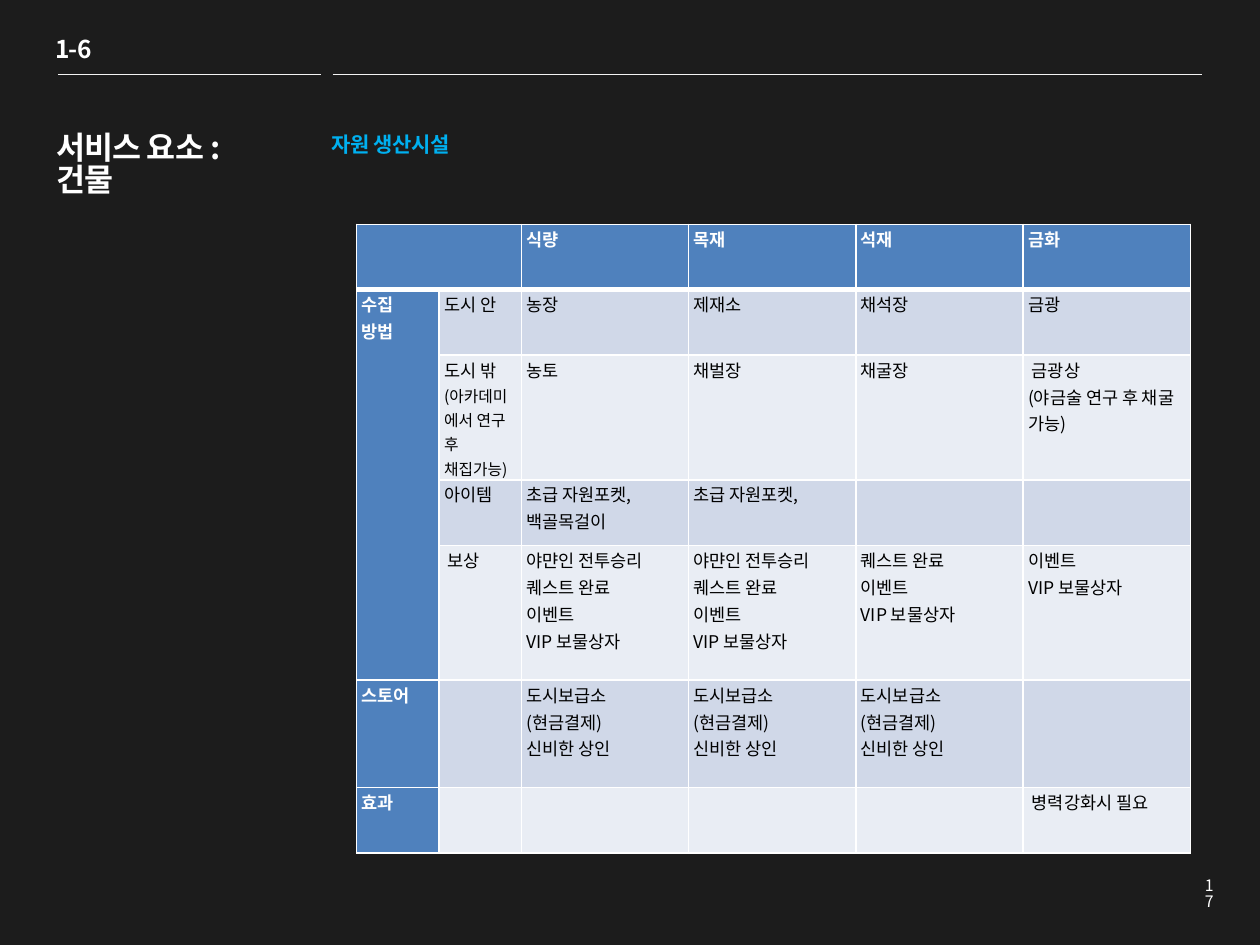
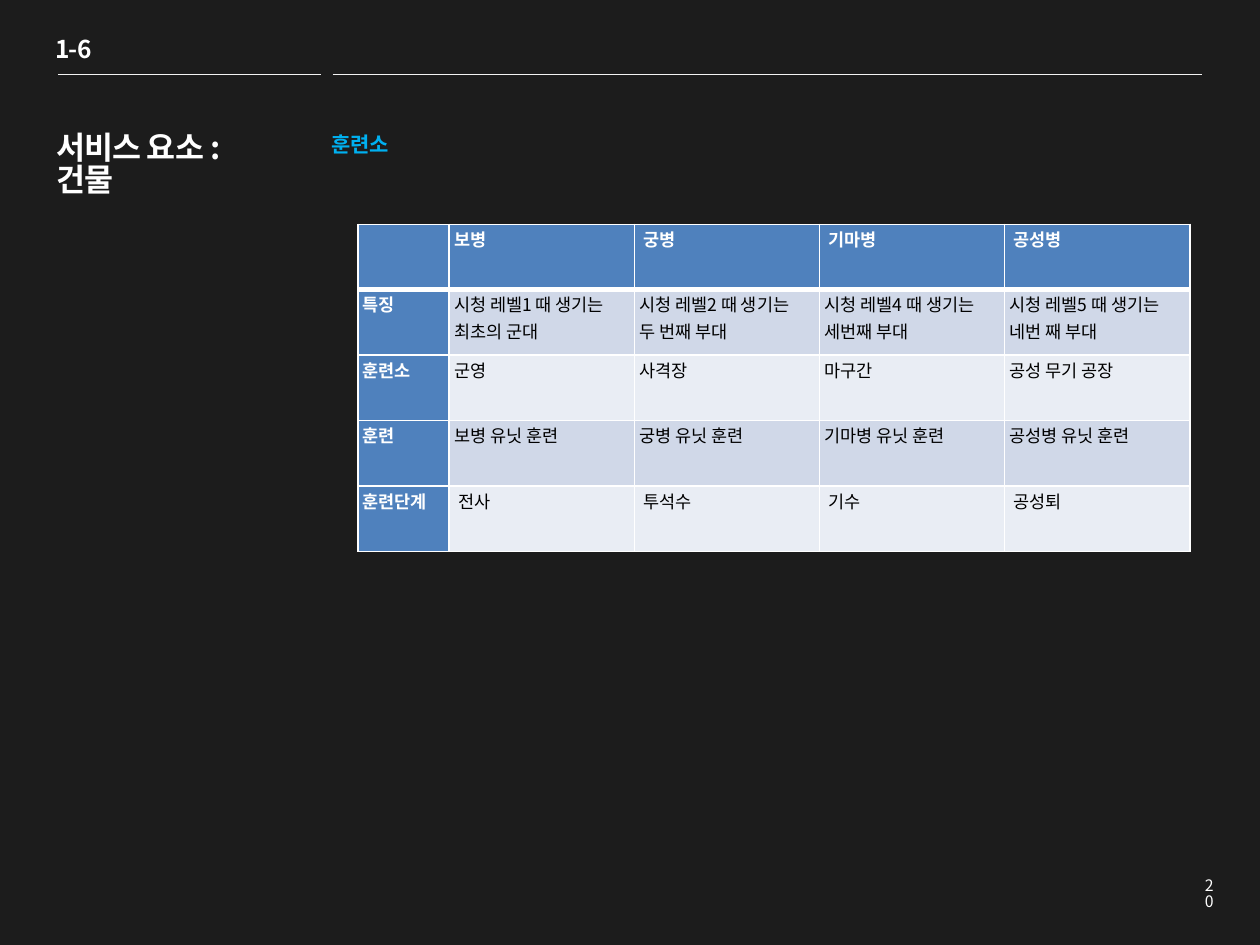
from lxml.etree import SubElement as Sub
from pptx import Presentation
from pptx.dml.color import RGBColor
from pptx.enum.shapes import MSO_CONNECTOR as Link
from pptx.enum.text import MSO_ANCHOR as Anchor, PP_ALIGN as Align
from pptx.oxml.ns import qn
from pptx.util import Inches, Pt

FACE = "Noto Sans CJK KR"
DARK, WHITE, BLACK = "1C1C1C", "FFFFFF", "000000"
RULE, SKY, BLUE = "F2F2F2", "00B0F0", "4F81BD"
BANDS = "D0D8E8", "E9EDF4"
COLS, ROWS = 100, 75


def tint(code):
    return RGBColor.from_string(code)


class Deck:
    def __init__(self):
        self.file = Presentation()
        self.file.slide_width, self.file.slide_height = Inches(10), Inches(7.5)
        self.slide = None

    def x(self, cols):
        return round(self.file.slide_width * cols / COLS)

    def y(self, rows):
        return round(self.file.slide_height * rows / ROWS)

    def box(self, left, top, width, height):
        return self.x(left), self.y(top), self.x(width), self.y(height)

    def page(self, topic, number):
        self.slide = self.file.slides.add_slide(self.file.slide_layouts[6])
        fill = self.slide.background.fill
        fill.solid()
        fill.fore_color.rgb = tint(DARK)
        self.text("1-6", (3.4, 2.6, 4.9, 3.4), 14, track=-50, wrap=False)
        self.line(4.6, 25.5, 5.9)
        self.line(26.4, 95.4, 5.9)
        self.text(topic, (25.3, 10.3, 53.2, 3), 12, SKY, track=-20)
        self.text(number, (94.5, 69.3, 2.8, 2.5), 9, bold=False, align=Align.RIGHT)
        self.text("서비스 요소 :\n건물", (3.5, 10.2, 18.1, 16.1), 18, track=-50)

    def style(self, para, size, color, bold, space, track=0, align=None):
        para.line_spacing = space
        if align is not None:
            para.alignment = align
        font = para.font
        font.size, font.bold = Pt(size), bold
        font.color.rgb = tint(color)
        font.name = FACE
        props = para._p.get_or_add_pPr().find(qn("a:defRPr"))
        Sub(props, qn("a:ea"), typeface=FACE)
        if track:
            props.set("spc", str(track))

    def text(self, words, area, size, color=WHITE, bold=True, track=0,
             wrap=True, align=None):
        frame = self.slide.shapes.add_textbox(*self.box(*area)).text_frame
        frame.word_wrap = wrap
        frame.text = words
        for para in frame.paragraphs:
            self.style(para, size, color, bold, 0.83, track, align)

    def line(self, start, end, row):
        rule = self.slide.shapes.add_connector(
            Link.STRAIGHT, self.x(start), self.y(row), self.x(end), self.y(row))
        rule.line.color.rgb = tint(RULE)
        rule.line.width = Pt(0.25)
        Sub(rule._element.spPr, qn("a:effectLst"))

    def edges(self, cell, row):
        props = cell._tc.get_or_add_tcPr()
        thick = {(0, "B"), (1, "T")}
        for side in "LRTB":
            width = Pt(3 if (row, side) in thick else 1)
            edge = Sub(props, qn(f"a:ln{side}"), w=str(width))
            Sub(Sub(edge, qn("a:solidFill")), qn("a:srgbClr"), val=WHITE)

    def cell(self, cell, words, row, col, align, small):
        head = row == 0 or col == 0
        self.edges(cell, row)
        cell.fill.solid()
        cell.fill.fore_color.rgb = tint(BLUE if head else BANDS[(row - 1) % 2])
        cell.margin_left = cell.margin_right = Inches(0.04)
        cell.margin_top = cell.margin_bottom = 0
        cell.vertical_anchor = Anchor.TOP
        cell.text = words
        for para in cell.text_frame.paragraphs:
            size = 9 if para.text in small else 10
            self.style(para, size, WHITE if head else BLACK, head, 1.07, align=align)

    def table(self, left, top, widths, heights, data, spans=(), align=None, small=()):
        area = self.box(left, top, sum(widths), sum(heights))
        grid = self.slide.shapes.add_table(len(heights), len(widths), *area).table
        for col, width in zip(grid.columns, widths):
            col.width = self.x(width)
        for row, height in zip(grid.rows, heights):
            row.height = self.y(height)
        for r, line in enumerate(data):
            for c, words in enumerate(line):
                self.cell(grid.cell(r, c), words, r, c, align, small)
        for first, last in spans:
            grid.cell(*first).merge(grid.cell(*last))


def main():
    deck = Deck()

    deck.page("자원 생산시설", "17")
    note = "(아카데미에서 연구 후 채집가능)"
    fight = "야먄인 전투승리\n"
    quest = "퀘스트 완료\n"
    event = "이벤트\nVIP 보물상자"
    store = "도시보급소\n(현금결제)\n신비한 상인"
    goods = [
        ["", "", "식량", "목재", "석재", "금화"],
        ["수집\n방법", "도시 안", "농장", "제재소", "채석장", "금광"],
        ["", "도시 밖\n" + note, "농토", "채벌장", "채굴장",
         " 금광상\n(야금술 연구 후 채굴 가능)"],
        ["", "아이템", "초급 자원포켓,\n백골목걸이", "초급 자원포켓,", "", ""],
        ["", " 보상", fight + quest + event, fight + quest + event,
         quest + event, event],
        ["스토어", "", store, store, store, ""],
        ["효과", "", "", "", "", " 병력강화시 필요"],
    ]
    deck.table(28.3, 17.8, [6.55] * 2 + [13.27] * 4,
               [5.2, 5.2, 9.9, 5.2, 10.7, 8.5, 5.2], goods,
               spans=[((0, 0), (0, 1)), ((1, 0), (4, 0))], small=[note])

    deck.page("훈련소", "20")
    units = ["보병", "궁병", "기마병", "공성병"]
    ranks = zip("1245", ["최초의 군대", "두 번째 부대", "세번째 부대", "네번 째 부대"])
    troops = [
        ["", "보병", " 궁병", " 기마병", " 공성병"],
        ["특징"] + [f"시청 레벨{level} 때 생기는\n{rank}" for level, rank in ranks],
        ["훈련소", "군영", "사격장", "마구간", "공성 무기 공장"],
        ["훈련"] + [f"{unit} 유닛 훈련" for unit in units],
        ["훈련단계", " 전사", " 투석수", " 기수", " 공성퇴"],
    ]
    deck.table(28.4, 17.8, [7.25] + [14.7] * 4, [5.2] * 5, troops,
               align=Align.JUSTIFY)

    deck.file.save("out.pptx")


if __name__ == "__main__":
    main()
